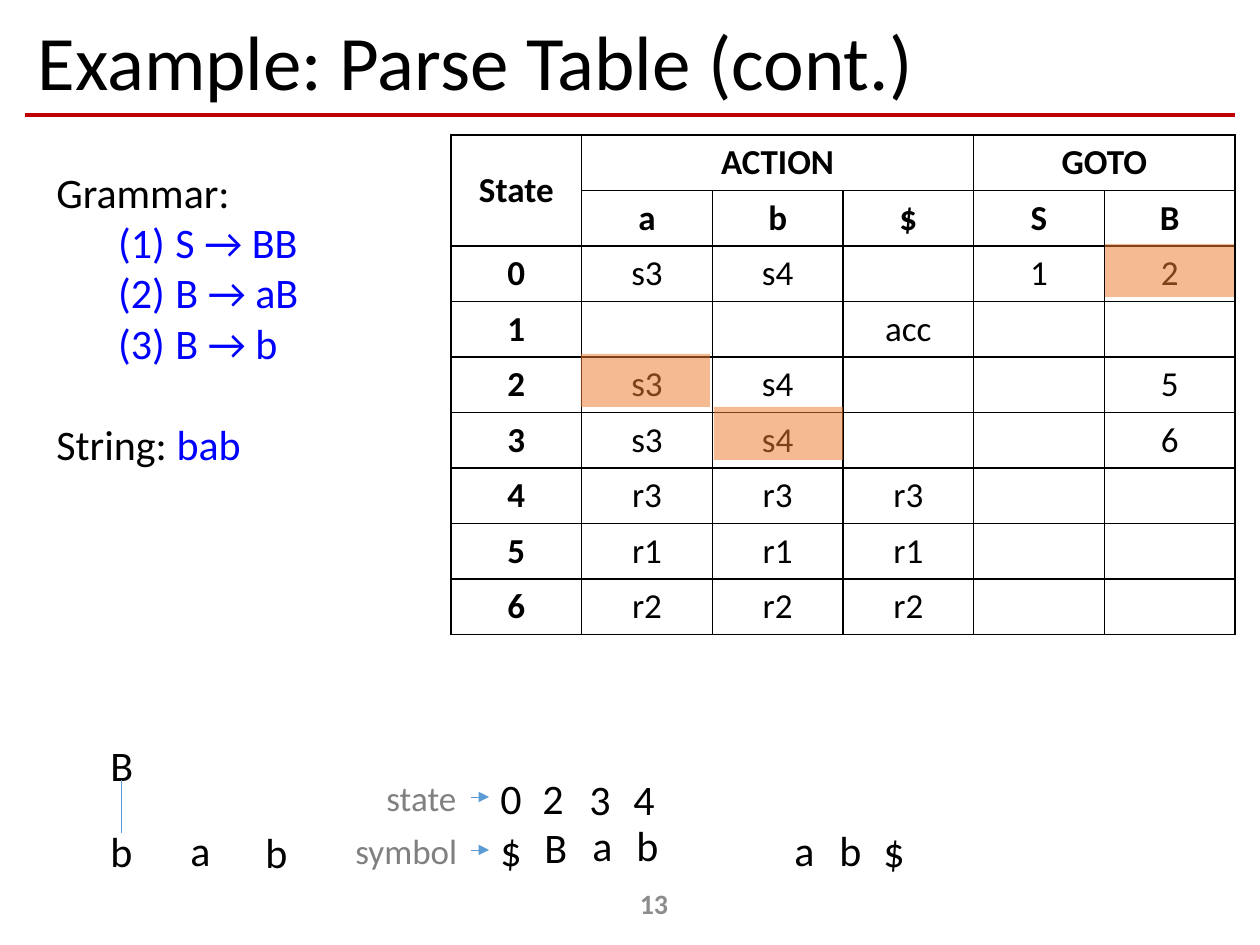
from lxml.etree import SubElement
from pptx import Presentation
from pptx.dml.color import RGBColor
from pptx.enum.shapes import MSO_CONNECTOR, MSO_SHAPE
from pptx.enum.text import MSO_ANCHOR as ANCHOR, MSO_AUTO_SIZE as AUTO_SIZE, PP_ALIGN as ALIGN
from pptx.oxml.ns import qn
from pptx.util import Inches, Pt

BLACK = RGBColor(0x00, 0x00, 0x00)
BLUE = RGBColor(0x00, 0x00, 0xFF)
RED = RGBColor(0xC0, 0x00, 0x00)
GRAY = RGBColor(0x80, 0x80, 0x80)
PAGE_GRAY = RGBColor(0x8C, 0x8C, 0x8C)
ORANGE = RGBColor(0xED, 0x7D, 0x31)
LINE_BLUE = RGBColor(0x5B, 0x9B, 0xD5)

BODY = {"name": "Calibri", "size": Pt(24), "bold": False}
LABEL = {**BODY, "size": Pt(20)}

TABLE_ROWS = [
    ["State", "ACTION", "", "", "GOTO", ""],
    ["", "a", "b", "$", "S", "B"],
    ["0", "s3", "s4", "", "1", "2"],
    ["1", "", "", "acc", "", ""],
    ["2", "s3", "s4", "", "", "5"],
    ["3", "s3", "s4", "", "", "6"],
    ["4", "r3", "r3", "r3", "", ""],
    ["5", "r1", "r1", "r1", "", ""],
    ["6", "r2", "r2", "r2", "", ""],
]


def px(value):
    return round(value * 914400 / 126)


def add_run(paragraph, text, style, color=BLACK):
    run = paragraph.add_run()
    run.text = text
    for name, value in style.items():
        setattr(run.font, name, value)
    run.font.color.rgb = color


def add_text_box(shapes, box):
    shape = shapes.add_textbox(*map(px, box))
    shape.text_frame.word_wrap = False
    shape.text_frame.auto_size = AUTO_SIZE.SHAPE_TO_FIT_TEXT
    return shape.text_frame


def add_text(shapes, text, box, style=BODY, color=BLACK):
    frame = add_text_box(shapes, box)
    add_run(frame.paragraphs[0], text, style, color)
    return frame


def add_symbols(shapes, left, top, symbols):
    for text, x, y in symbols:
        add_text(shapes, text, (left + x, top + y, 47, 63))


def add_line(shapes, start, end, color=LINE_BLUE, width=0.5, arrow=False):
    line = shapes.add_connector(MSO_CONNECTOR.STRAIGHT, *map(px, start + end))
    line.line.color.rgb = color
    line.line.width = Pt(width)
    if arrow:
        SubElement(line.line._get_or_add_ln(), qn("a:tailEnd"), type="triangle")
    SubElement(line._element.spPr, qn("a:effectLst"))


def add_title(slide, left, top, width, height):
    title = slide.shapes.title
    title.left, title.top, title.width, title.height = map(px, (left, top, width, height))
    title.text_frame.vertical_anchor = ANCHOR.MIDDLE
    paragraph = title.text_frame.paragraphs[0]
    paragraph.alignment = ALIGN.LEFT
    paragraph.line_spacing = 0.9
    add_run(paragraph, "Example: Parse Table (cont.)", {**BODY, "size": Pt(44)})
    add_line(slide.shapes, (left, top + height - 1), (left + width - 1, top + height - 1), RED, 2.5)


def format_cell(cell, text, bold):
    properties = cell._tc.get_or_add_tcPr()
    for side in ("lnL", "lnR", "lnT", "lnB"):
        border = SubElement(properties, qn(f"a:{side}"), w=str(Pt(1)))
        fill = SubElement(border, qn("a:solidFill"))
        SubElement(fill, qn("a:srgbClr"), val=str(BLACK))
    cell.fill.background()
    cell.vertical_anchor = ANCHOR.MIDDLE
    if text:
        paragraph = cell.text_frame.paragraphs[0]
        paragraph.alignment = ALIGN.CENTER
        add_run(paragraph, text, {**LABEL, "bold": bold})


def add_parse_table(slide, left, top, width, height):
    row_count, column_count = len(TABLE_ROWS), len(TABLE_ROWS[0])
    table = slide.shapes.add_table(
        row_count, column_count, *map(px, (left, top, width, height))).table
    table.first_row = table.horz_banding = False
    for column in table.columns:
        column.width = px(width / column_count)
    for row in table.rows:
        row.height = px(height / row_count)
    for row, texts in enumerate(TABLE_ROWS):
        for column, text in enumerate(texts):
            format_cell(table.cell(row, column), text, row < 2 or column == 0)
    for first, last in (((0, 0), (1, 0)), ((0, 1), (0, 3)), ((0, 4), (0, 5))):
        table.cell(*first).merge(table.cell(*last))

    # Translucent marks over the entries in use
    for x, y in ((654, 109), (130, 219), (263, 272)):
        mark = slide.shapes.add_shape(
            MSO_SHAPE.RECTANGLE, *map(px, (left + x, top + y, 129, 53)))
        mark.shadow.inherit = False
        mark.fill.solid()
        mark.fill.fore_color.rgb = ORANGE
        color = mark._element.spPr.find(qn("a:solidFill")).find(qn("a:srgbClr"))
        SubElement(color, qn("a:alpha"), val="53000")
        mark.line.fill.background()


def add_grammar(slide, box):
    frame = add_text_box(slide.shapes, box)
    add_run(frame.paragraphs[0], "Grammar:", BODY)
    for rule in ("S → BB", "B → aB", "B → b"):
        paragraph = frame.add_paragraph()
        paragraph.level = 1
        properties = paragraph._p.get_or_add_pPr()
        properties.set("marL", str(Inches(0.87)))
        properties.set("indent", str(Inches(-0.38)))
        SubElement(properties, qn("a:buFont"), typeface="+mj-lt")
        SubElement(properties, qn("a:buAutoNum"), type="arabicParenBoth")
        add_run(paragraph, f" {rule}", BODY, BLUE)
    paragraph = frame.add_paragraph()
    paragraph.space_before = Pt(29)
    add_run(paragraph, "String: ", BODY)
    add_run(paragraph, "bab", BODY, BLUE)


def add_parse_tree(slide, left, top):
    add_symbols(slide.shapes, left, top, [("b", 0, 86), ("a", 80, 85), ("b", 155, 87)])
    branch = slide.shapes.add_group_shape().shapes
    add_symbols(branch, left, top, [("B", 0, 0)])
    add_line(branch, (left + 23, top + 47), (left + 23, top + 100))


def add_stack(slide, left, top):
    # Row labels with arrows
    labels = slide.shapes.add_group_shape().shapes
    for text, x, y, width in (("state", 31, 4, 96), ("symbol", 0, 57, 129)):
        add_text(labels, text, (left + x, top + y, width, 55), LABEL, GRAY)
        arrow_y = top + y + 27
        add_line(labels, (left + 128, arrow_y), (left + 146, arrow_y), arrow=True)
    # States above their symbols
    add_symbols(slide.shapes, left, top, [
        ("0", 145, 0), ("2", 187, 0), ("3", 234, 1), ("4", 278, 1),
        ("$", 145, 52), ("B", 189, 49), ("a", 237, 47), ("b", 281, 47)])


def add_remaining_input(slide, left, top):
    add_symbols(slide.shapes, left, top, [("a", 0, 0), ("b", 45, 0), ("$", 89, 1)])


def add_page_number(slide, box):
    frame = add_text(slide.shapes, "13", box, {**BODY, "size": Pt(16), "bold": True}, PAGE_GRAY)
    frame.word_wrap = True
    frame.auto_size = AUTO_SIZE.NONE
    frame.vertical_anchor = ANCHOR.MIDDLE
    frame.paragraphs[0].alignment = ALIGN.CENTER


def main():
    presentation = Presentation()
    presentation.slide_width, presentation.slide_height = px(1260), px(945)
    slide = presentation.slides.add_slide(presentation.slide_layouts[5])
    add_title(slide, 25, 16, 1211, 100)
    add_parse_table(slide, 451, 135, 784, 495)
    add_grammar(slide, (44, 160, 278, 318))
    add_parse_tree(slide, 98, 733)
    add_stack(slide, 343, 766)
    add_remaining_input(slide, 782, 818)
    add_page_number(slide, (512, 878, 284, 50))
    presentation.save("out.pptx")


if __name__ == "__main__":
    main()
